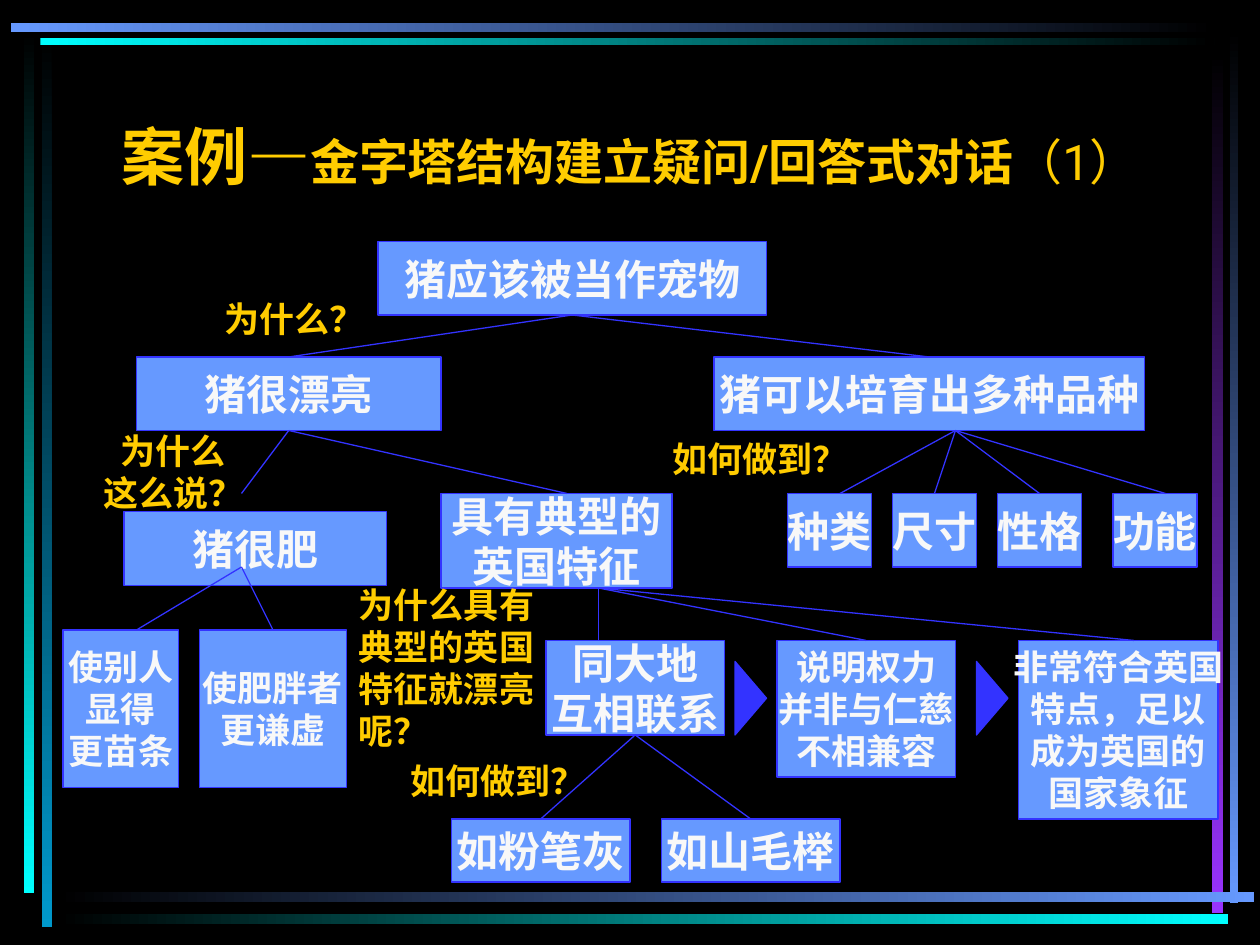
from collections import namedtuple

from lxml.etree import SubElement
from pptx import Presentation
from pptx.dml.color import RGBColor
from pptx.enum.shapes import MSO_CONNECTOR, MSO_SHAPE
from pptx.enum.text import MSO_ANCHOR, MSO_AUTO_SIZE, PP_ALIGN
from pptx.oxml.ns import qn
from pptx.util import Inches, Pt

BLACK = RGBColor(0x00, 0x00, 0x00)
WHITE = RGBColor(0xF8, 0xF8, 0xF8)
GOLD = RGBColor(0xFF, 0xCC, 0x00)
BLUE = RGBColor(0x66, 0x99, 0xFF)
INDIGO = RGBColor(0x33, 0x33, 0xFF)
CYAN = RGBColor(0x00, 0xFF, 0xFF)
TEAL = RGBColor(0x00, 0x99, 0xCC)
PURPLE = RGBColor(0x99, 0x33, 0xFF)

HEAD_FONT = "Roboto"
BODY_FONT = "Times New Roman"
COLS, ROWS = 120, 90


class Area(namedtuple("Area", "left top width height")):
    """A box on the slide, split into COLS by ROWS cells."""

    def spot(self, x, y):
        return (int(self.left + self.width * x / COLS),
                int(self.top + self.height * y / ROWS))

    def rect(self, x, y, w, h):
        return (*self.spot(x, y),
                int(self.width * w / COLS), int(self.height * h / ROWS))


def style(run, size, color, font, bold=True):
    run.font.size, run.font.bold, run.font.name = Pt(size), bold, font
    run.font.color.rgb = color


def write(shape, text, size, color, align, wrap=False):
    frame = shape.text_frame
    frame.text = text
    frame.word_wrap = wrap
    for para in frame.paragraphs:
        para.alignment = align
        for run in para.runs:
            style(run, size, color, BODY_FONT)


def add_block(slide, kind, rect, fill):
    shape = slide.shapes.add_shape(kind, *rect)
    shape.shadow.inherit = False
    shape.fill.solid()
    shape.fill.fore_color.rgb = fill
    shape.line.color.rgb = INDIGO
    shape.line.width = Pt(0.75)
    return shape


def add_frame(slide, area):
    # Bars: cells, start colour, end colour; long side gives the direction
    bars = [
        ((3.96, 3.36, 0.96, 84.96), BLACK, TEAL),
        ((2.28, 3, 0.96, 82.08), BLACK, CYAN),
        ((117.12, 2.88, 0.84, 83.16), BLACK, BLUE),
        ((115.44, 5.04, 1.08, 81.96), BLACK, PURPLE),
        ((5.4, 84.96, 114, 0.96), BLACK, BLUE),
        ((5.4, 87, 111.6, 0.96), BLACK, CYAN),
        ((3.84, 3.6, 111.84, 0.72), CYAN, BLACK),
        ((1.02, 2.22, 114.72, 0.84), BLUE, BLACK),
    ]
    for cells, start, end in bars:
        bar = slide.shapes.add_shape(MSO_SHAPE.RECTANGLE, *area.rect(*cells))
        bar.shadow.inherit = False
        bar.line.fill.background()
        bar.fill.gradient()
        bar.fill.gradient_angle = 0 if cells[2] > cells[3] else 270
        for stop, color in zip(bar.fill.gradient_stops, (start, end)):
            stop.color.rgb = color


def add_title(slide, area):
    frame = slide.shapes.add_textbox(*area).text_frame
    frame.word_wrap = True
    frame.vertical_anchor = MSO_ANCHOR.BOTTOM
    para = frame.paragraphs[0]
    para.alignment = PP_ALIGN.CENTER
    for text, size, bold in [("案例—", 36, True),
                             ("金字塔结构建立疑问/回答式对话", 28, True),
                             ("（1）", 28, False)]:
        run = para.add_run()
        run.text = text
        style(run, size, GOLD, HEAD_FONT, bold)


def add_link(slide, area, upper, start, lower, end):
    """Draw a line, joined to a box where it meets the middle of a side."""
    line = slide.shapes.add_connector(
        MSO_CONNECTOR.STRAIGHT, *area.spot(*start), *area.spot(*end))
    line.line.color.rgb = INDIGO
    line.line.width = Pt(0.75)
    SubElement(line._element.spPr, qn("a:effectLst"))
    near = 0.6 * area.width / COLS
    for box, spot, side, join in [(upper, start, 2, line.begin_connect),
                                  (lower, end, 0, line.end_connect)]:
        x, y = area.spot(*spot)
        edge = box.top + (box.height if side == 2 else 0)
        if abs(box.left + box.width / 2 - x) < near and abs(edge - y) < near:
            join(box, side)


def add_tree(slide, area):
    # Statements: cells, text size, text
    nodes = {
        "root": ((36, 23, 37, 7), 24, "猪应该被当作宠物"),
        "pretty": ((13, 34, 29, 7), 24, "猪很漂亮"),
        "breeds": ((68, 34, 41, 7), 24, "猪可以培育出多种品种"),
        "fat": ((11.8, 48.75, 25, 7), 24, "猪很肥"),
        "slim": ((6, 60, 11, 15), 20, "使别人\n显得\n更苗条"),
        "modest": ((19, 60, 14, 15), 20, "使肥胖者\n更谦虚"),
        "kind": ((75, 47, 8, 7), 24, "种类"),
        "size": ((85, 47, 8, 7), 24, "尺寸"),
        "nature": ((95, 47, 8, 7), 24, "性格"),
        "use": ((106, 47, 8, 7), 24, "功能"),
        "typical": ((42, 47, 22, 9), 24, "具有典型的\n英国特征"),
        "earth": ((52, 61, 17, 9), 24, "同大地\n互相联系"),
        "power": ((74, 61, 17, 13), 20, "说明权力\n并非与仁慈\n不相兼容"),
        "symbol": ((97, 61, 19, 17), 20,
                   "非常符合英国\n特点，足以\n成为英国的\n国家象征"),
        "chalk": ((43, 78, 17, 6), 24, "如粉笔灰"),
        "beech": ((63, 78, 17, 6), 24, "如山毛榉"),
    }
    boxes = {}
    for name, (cells, size, text) in nodes.items():
        box = add_block(slide, MSO_SHAPE.RECTANGLE, area.rect(*cells), BLUE)
        box.text_frame.vertical_anchor = MSO_ANCHOR.MIDDLE
        write(box, text, size, WHITE, PP_ALIGN.CENTER)
        boxes[name] = box

    # Lines: parent, start, then each child with its end
    links = [
        ("root", (55, 30), {"pretty": (28, 34), "breeds": (89, 34)}),
        ("pretty", (27, 41), {"fat": (23, 47), "typical": (54, 47)}),
        ("breeds", (91, 41), {"kind": (80, 47), "size": (89, 47),
                              "nature": (99, 47), "use": (111, 47)}),
        ("fat", (23, 54), {"slim": (13, 60), "modest": (26, 60)}),
        ("typical", (57, 56), {"earth": (57, 61), "power": (82, 61),
                               "symbol": (108, 61)}),
        ("earth", (61, 70), {"chalk": (52, 78), "beech": (71, 78)}),
    ]
    for parent, start, ends in links:
        for child, end in ends.items():
            add_link(slide, area, boxes[parent], start, boxes[child], end)

    # Questions: cells, text, alignment, wrapping
    left, mid = PP_ALIGN.LEFT, PP_ALIGN.CENTER
    asks = [
        ((20.16, 27.72, 15.72, 5.25), "为什么？", left, False),
        ((62.88, 41.04, 19.08, 5.25), "如何做到？", left, False),
        ((33, 55, 19.2, 17.25), "为什么具有典型的英国特征就漂亮呢？", left, True),
        ((37.92, 71.76, 19.08, 5.25), "如何做到？", left, False),
        ((5.16, 40.32, 22.68, 9.25), "为什么\n这么说？", mid, True),
    ]
    for cells, text, align, wrap in asks:
        label = slide.shapes.add_textbox(*area.rect(*cells))
        write(label, text, 20, GOLD, align, wrap)
        label.text_frame.auto_size = MSO_AUTO_SIZE.SHAPE_TO_FIT_TEXT

    # Wedges between the linked reasons
    for x in (68, 91):
        wedge = add_block(slide, MSO_SHAPE.ISOSCELES_TRIANGLE,
                          area.rect(x, 65, 7, 3), INDIGO)
        wedge.rotation = 90


def main():
    deck = Presentation()
    deck.slide_width, deck.slide_height = Inches(10), Inches(7.5)
    slide = deck.slides.add_slide(deck.slide_layouts[6])
    slide.background.fill.solid()
    slide.background.fill.fore_color.rgb = BLACK
    page = Area(0, 0, deck.slide_width, deck.slide_height)
    add_frame(slide, page)
    add_title(slide, Area(*page.rect(9, 6, 102, 13)))
    add_tree(slide, page)
    deck.save("out.pptx")


if __name__ == "__main__":
    main()
